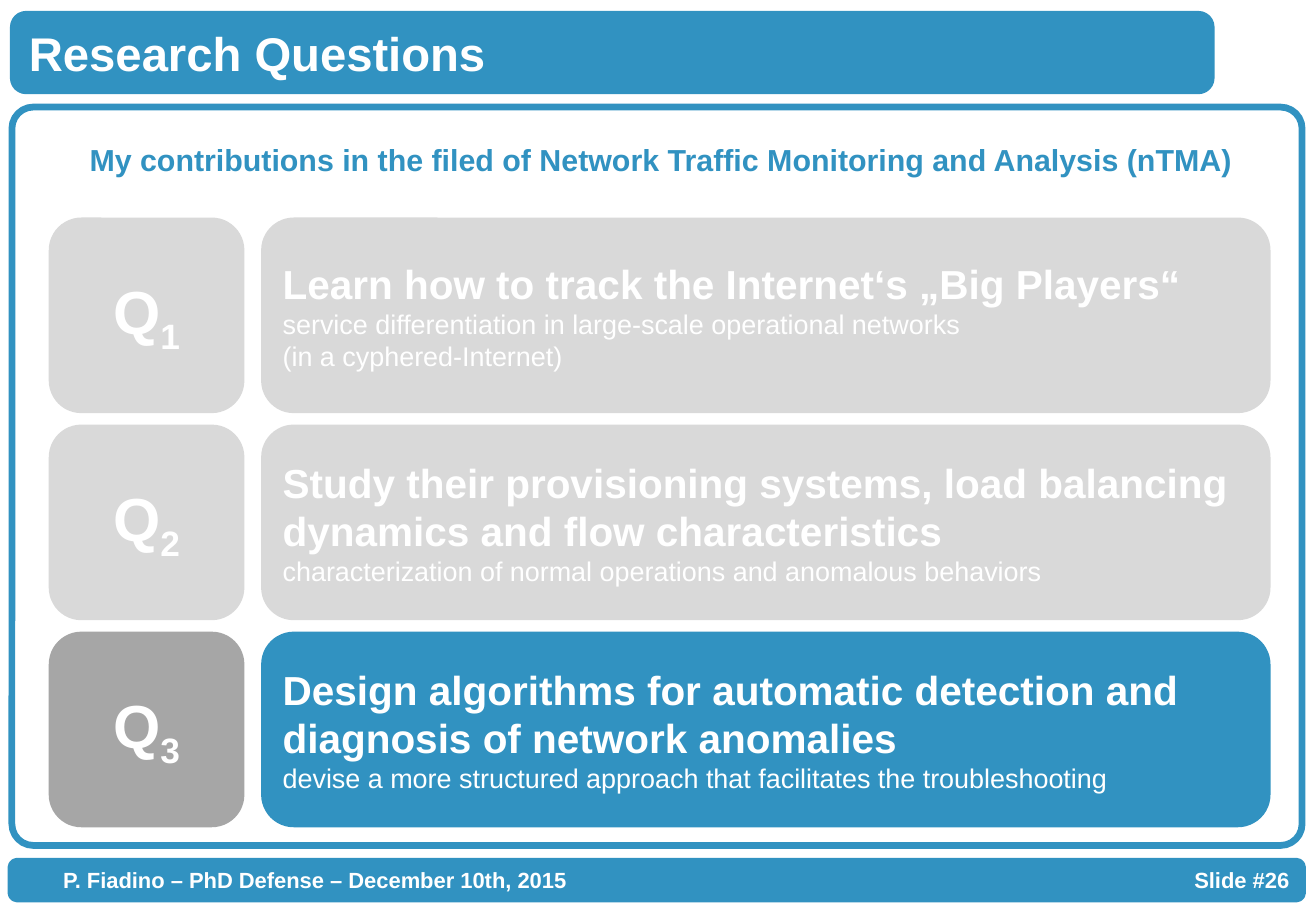
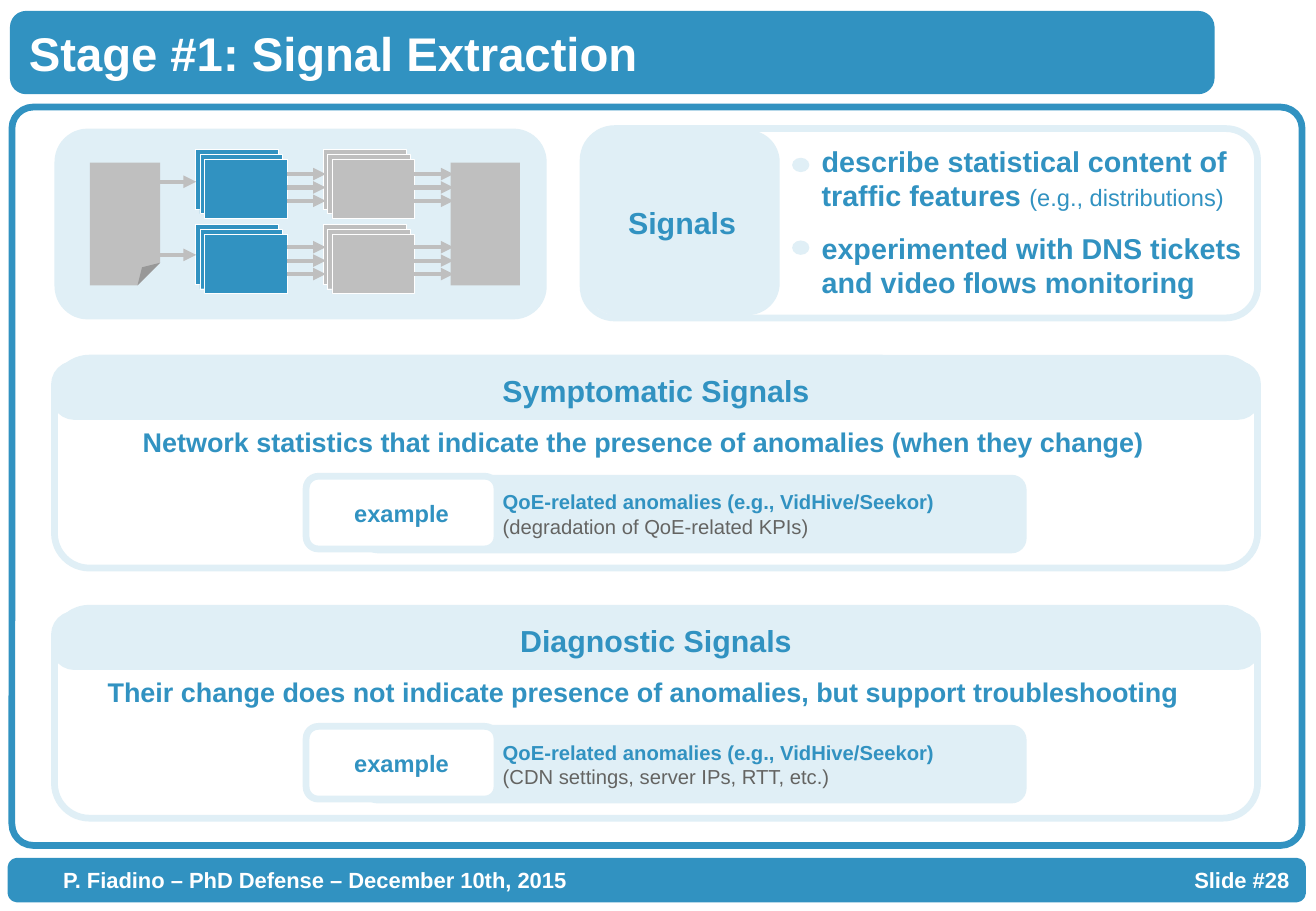
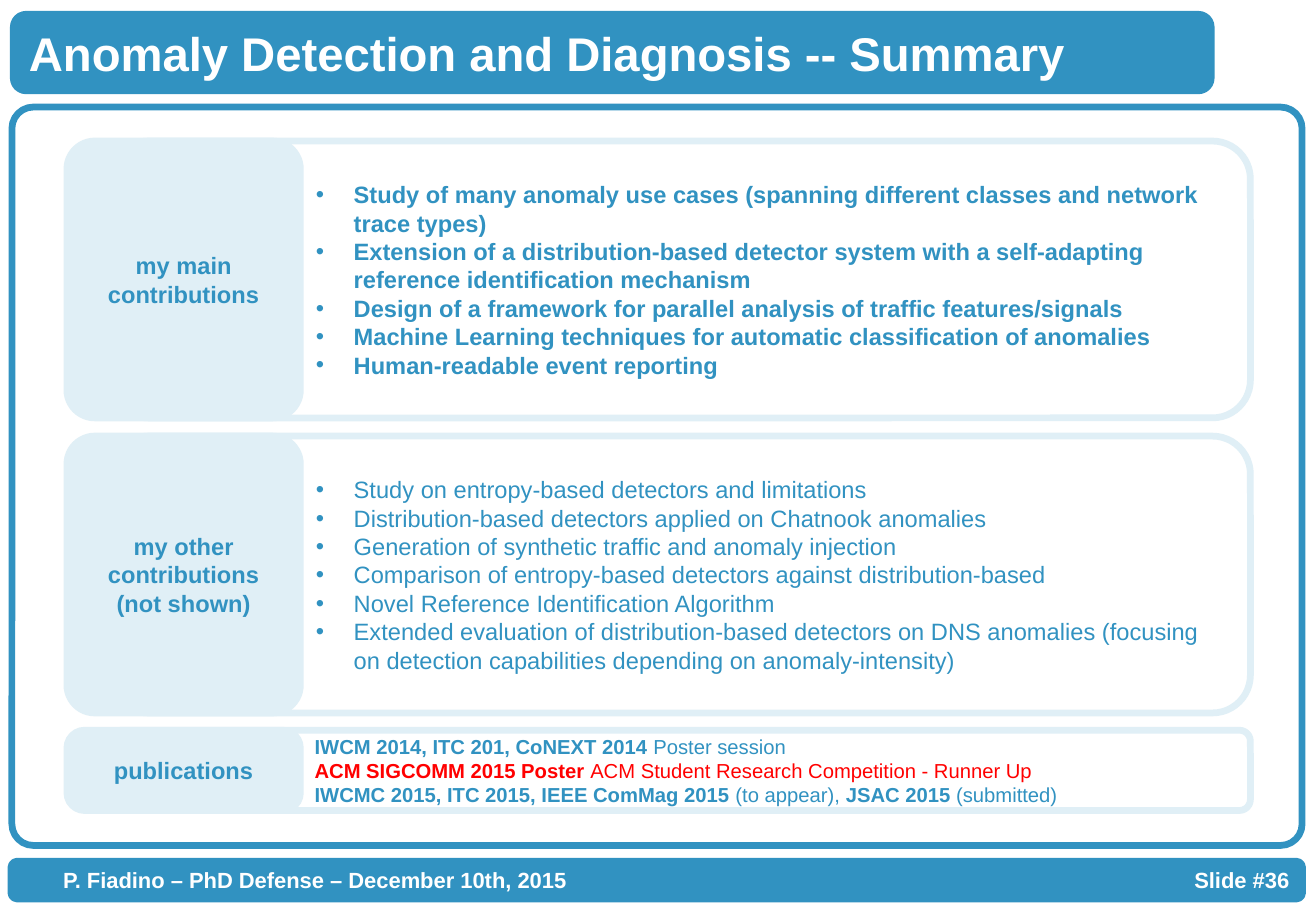
from dataclasses import dataclass

from lxml.etree import SubElement
from pptx import Presentation
from pptx.dml.color import RGBColor
from pptx.enum.shapes import MSO_CONNECTOR, MSO_SHAPE
from pptx.enum.text import MSO_ANCHOR, MSO_AUTO_SIZE, PP_ALIGN
from pptx.oxml.ns import qn
from pptx.util import Cm, Pt

LEFT, MID, RIGHT = PP_ALIGN.LEFT, PP_ALIGN.CENTER, PP_ALIGN.RIGHT
ROUND = MSO_SHAPE.ROUNDED_RECTANGLE


@dataclass(frozen=True)
class Font:
    size: int
    color: str
    bold: bool = True
    base: int = 0


@dataclass(frozen=True)
class Theme:
    face: str = "Arial"
    blue: str = "3192C1"
    pale: str = "E0EFF6"
    white: str = "FFFFFF"
    faint: str = "D9D9D9"
    dark: str = "A6A6A6"
    grey: str = "BFBFBF"
    edge: float = 4
    title: Font = Font(28, "FFFFFF")
    foot: Font = Font(13, "FFFFFF")
    mark: Font = Font(36, "FFFFFF")
    sub: Font = Font(36, "FFFFFF", base=-25)
    ask: Font = Font(24, "FFFFFF")
    hint: Font = Font(16, "FFFFFF", False)
    head: Font = Font(18, "3192C1")
    point: Font = Font(17, "3192C1")
    claim: Font = Font(16, "3192C1")
    item: Font = Font(14, "3192C1")
    light: Font = Font(14, "3192C1", False)
    small: Font = Font(12, "3192C1")
    thin: Font = Font(12, "3192C1", False)
    note: Font = Font(12, "646462", False)
    alert: Font = Font(12, "FF0000")
    alarm: Font = Font(12, "FF0000", False)


T = Theme()


def style(target, font):
    target.name = T.face
    target.size = Pt(font.size)
    target.bold = font.bold
    target.color.rgb = RGBColor.from_string(font.color)


def plain(font, *texts):
    """Make one single-font paragraph for each text."""
    return [[(text, font)] for text in texts]


def write(shape, paras, align=LEFT, anchor=MSO_ANCHOR.MIDDLE, hang=None, gap=0):
    """Fill a shape with paragraphs, each a list of (text, font) pairs.

    A hang in cm sets the bullet indent; zero takes the bullet away.
    """
    frame = shape.text_frame
    frame.word_wrap = True
    frame.auto_size = MSO_AUTO_SIZE.NONE
    frame.vertical_anchor = anchor
    for n, spans in enumerate(paras):
        para = frame.add_paragraph() if n else frame.paragraphs[0]
        para.alignment = align
        para.space_before = Pt(gap if n else 0)
        if hang is not None:
            props = para._p.get_or_add_pPr()
            props.set("marL", str(Cm(hang)))
            props.set("indent", str(-Cm(hang)))
            if not hang:
                SubElement(props, qn("a:buNone"))
        same = len({font for _, font in spans}) == 1
        if same:
            style(para.font, spans[0][1])
        for text, font in spans:
            run = para.add_run()
            run.text = text
            if not same:
                style(run.font, font)
            if font.base:
                run._r.get_or_add_rPr().set("baseline", str(font.base * 1000))


def place(shape, area):
    shape.left, shape.top, shape.width, shape.height = map(Cm, area)


def box(slide, area, fill=None, line=None, adj=None, kind=ROUND, width=T.edge):
    shape = slide.shapes.add_shape(kind, *map(Cm, area))
    shape.shadow.inherit = False
    if fill:
        shape.fill.solid()
        shape.fill.fore_color.rgb = RGBColor.from_string(fill)
    else:
        shape.fill.background()
    if line:
        shape.line.color.rgb = RGBColor.from_string(line)
        shape.line.width = Pt(width)
    else:
        shape.line.fill.background()
    if adj is not None:
        shape.adjustments[0] = adj
    return shape


def label(slide, area, paras, align=MID, anchor=MSO_ANCHOR.TOP):
    write(slide.shapes.add_textbox(*map(Cm, area)), paras, align, anchor)


def arrow(slide, x, y):
    line = slide.shapes.add_connector(
        MSO_CONNECTOR.STRAIGHT, Cm(x), Cm(y), Cm(x + 0.82), Cm(y))
    line.line.color.rgb = RGBColor.from_string(T.grey)
    line.line.width = Pt(2.5)
    props = line.element.spPr
    SubElement(props.find(qn("a:ln")), qn("a:tailEnd"), type="triangle")
    SubElement(props, qn("a:effectLst"))


def brand(deck, slide):
    """Move the shared bands and frame from a slide to the master."""
    title = deck.slide_master.placeholders[0]
    place(title, (0.35, 0.3, 24.9, 1.6))
    foot = box(slide, (0.23, 18.01, 27, 0.79), T.blue, T.blue)
    foot.text_frame.margin_left = Cm(1.05)
    write(foot, plain(T.foot, "P. Fiadino – PhD Defense – December 10th, 2015"))
    band = box(slide, (0.28, 0.3, 25.04, 1.6), T.blue, T.blue)
    rim = box(slide, (0.25, 2.24, 26.97, 15.44), None, T.blue, 0.029)
    for n, part in enumerate((band, rim, foot), 90):
        part.element.nvSpPr.cNvPr.set("id", str(n))
        title.element.addprevious(part.element)


def start(deck, layout, title, page):
    slide = deck.slides.add_slide(deck.slide_layouts[layout])
    write(slide.shapes.title, plain(T.title, title))
    label(slide, (22.2, 18.01, 5, 0.79), plain(T.foot, f"Slide #{page}"),
          RIGHT, MSO_ANCHOR.MIDDLE)
    return slide


def query(slide, n, ask, hints, fill, tint):
    y = 4.55 + 4.33 * (n - 1)
    text = box(slide, (5.46, y, 21.1, 4.09), fill)
    write(text, plain(T.ask, ask) + plain(T.hint, *hints))
    mark = box(slide, (1.02, y, 4.09, 4.09), tint)
    write(mark, [[("Q", T.mark), (str(n), T.sub)]], MID)


def stack(slide, x, y, fill):
    for n in range(3):
        box(slide, (x + 0.09 * n, y + 0.1 * n, 1.73, 1.24), fill, T.white,
            kind=MSO_SHAPE.RECTANGLE, width=0.25)


def sheet(slide, area):
    """Draw a page whose corner is folded further than usual."""
    page = box(slide, area, T.grey, kind=MSO_SHAPE.FOLDED_CORNER)
    form = page.element.spPr.find(qn("a:prstGeom"))
    SubElement(form.find(qn("a:avLst")), qn("a:gd"),
               name="adj", fmla="val 32300")


def flow(slide):
    """Draw the small pipeline of the extraction stage."""
    box(slide, (1.14, 2.69, 10.29, 3.99), T.pale, adj=0.174)
    for y in (3.13, 4.7):
        stack(slide, 4.09, y, T.blue)
        stack(slide, 6.76, y, T.grey)
    sheet(slide, (1.88, 3.4, 1.47, 2.57))
    box(slide, (9.42, 3.4, 1.45, 2.57), T.grey, kind=MSO_SHAPE.RECTANGLE)
    for y in (3.64, 5.17):
        arrow(slide, 3.28, y + 0.16)
        for x in (5.99, 8.66):
            for n in range(3):
                arrow(slide, x, y + 0.28 * n)


def signal(slide, n, name, claim, note):
    y = 7.49 + 5.23 * n
    head = box(slide, (1.14, y + 0.13, 25.15, 1.09), T.pale, T.pale, 0.383)
    write(head, plain(T.head, name), MID)
    box(slide, (1.14, y, 25.15, 4.39), None, T.pale)
    label(slide, (1.4, y + 1.29, 24.1, 0.94), plain(T.claim, claim))
    case = box(slide, (7.65, y + 2.51, 13.74, 1.5), T.pale, T.pale, 0.16)
    case.text_frame.margin_left = Cm(2.79)
    write(case, plain(T.small, "QoE-related anomalies (e.g., VidHive/Seekor)")
          + plain(T.note, note))
    tag = box(slide, (6.4, y + 2.47, 3.99, 1.52), T.white, T.pale)
    write(tag, plain(T.item, "example"), MID)


def topic(slide, y, high, names, adj):
    """Draw an outlined panel with a filled tag; return the panel."""
    panel = box(slide, (2.31, y, 23.83, high), None, T.pale, 0.137)
    tag = box(slide, (1.4, y, 4.88, high), T.pale, T.pale, adj)
    write(tag, plain(T.item, *names), MID)
    return panel


def listing(slide, spot, y, names, font, items):
    topic(slide, y, 5.79, names, 0.12)
    body = slide.placeholders[spot]
    place(body, (6.35, y, 19.55, 5.79))
    write(body, plain(font, *items), hang=0.79)


def main():
    deck = Presentation()
    deck.slide_width, deck.slide_height = Cm(27.51), Cm(19.05)

    slide = start(deck, 5, "Research Questions", 26)
    brand(deck, slide)
    label(slide, (1.07, 2.82, 25.5, 1.02), plain(
        T.head, "My contributions in the filed of Network Traffic "
        "Monitoring and Analysis (nTMA)"))
    query(slide, 1, "Learn how to track the Internet‘s „Big Players“",
          ["service differentiation in large-scale operational networks",
           "(in a cyphered-Internet)"], T.faint, T.faint)
    query(slide, 2, "Study their provisioning systems, load balancing "
          "dynamics and flow characteristics",
          ["characterization of normal operations and anomalous behaviors"],
          T.faint, T.faint)
    query(slide, 3, "Design algorithms for automatic detection and "
          "diagnosis of network anomalies",
          ["devise a more structured approach that facilitates the "
           "troubleshooting"], T.blue, T.dark)

    slide = start(deck, 1, "Stage #1: Signal Extraction", 28)
    flow(slide)
    box(slide, (12.19, 2.69, 14.1, 3.96), None, T.pale)
    tag = box(slide, (12.29, 2.79, 3.94, 3.73), T.pale, T.pale, 0.16)
    write(tag, plain(T.head, "Signals"), MID)
    for y in (3.3, 5.03):
        box(slide, (16.56, y, 0.36, 0.3), T.pale, kind=MSO_SHAPE.OVAL)
    body = slide.placeholders[1]
    place(body, (16.92, 2.87, 9.37, 3.5))
    write(body, [
        [("describe statistical content of traffic features ", T.point),
         ("(e.g., distributions)", T.light)],
        [("experimented with DNS tickets and video flows monitoring",
          T.point)],
    ], anchor=MSO_ANCHOR.TOP, hang=0, gap=11)
    signal(slide, 0, "Symptomatic Signals",
           "Network statistics that indicate the presence of anomalies "
           "(when they change)", "(degradation of QoE-related KPIs)")
    signal(slide, 1, "Diagnostic Signals",
           "Their change does not indicate presence of anomalies, "
           "but support troubleshooting",
           "(CDN settings, server IPs, RTT, etc.)")

    slide = start(deck, 3, "Anomaly Detection and Diagnosis -- Summary", 36)
    listing(slide, 1, 2.95, ["my main", "contributions"], T.item, [
        "Study of many anomaly use cases (spanning different classes and "
        "network trace types)",
        "Extension of a distribution-based detector system with a "
        "self-adapting reference identification mechanism",
        "Design of a framework for parallel analysis of traffic "
        "features/signals",
        "Machine Learning techniques for automatic classification of "
        "anomalies",
        "Human-readable event reporting"])
    listing(slide, 2, 9.12, ["my other contributions (not shown)"], T.light, [
        "Study on entropy-based detectors and limitations",
        "Distribution-based detectors applied on Chatnook anomalies",
        "Generation of synthetic traffic and anomaly injection",
        "Comparison of entropy-based detectors against distribution-based",
        "Novel Reference Identification Algorithm",
        "Extended evaluation of distribution-based detectors on DNS "
        "anomalies (focusing on detection capabilities depending on "
        "anomaly-intensity)"])
    panel = topic(slide, 15.27, 1.68, ["publications"], 0.221)
    panel.text_frame.margin_left = Cm(4.2)
    write(panel, [
        [("IWCM 2014, ITC 201, CoNEXT 2014 ", T.small),
         ("Poster session", T.thin)],
        [("ACM SIGCOMM 2015 Poster ", T.alert),
         ("ACM Student Research Competition - Runner Up", T.alarm)],
        [("IWCMC 2015, ITC 2015, IEEE ComMag 2015 ", T.small),
         ("(to appear), ", T.thin), ("JSAC 2015 ", T.small),
         ("(submitted)", T.thin)],
    ])

    deck.save("out.pptx")


if __name__ == "__main__":
    main()
